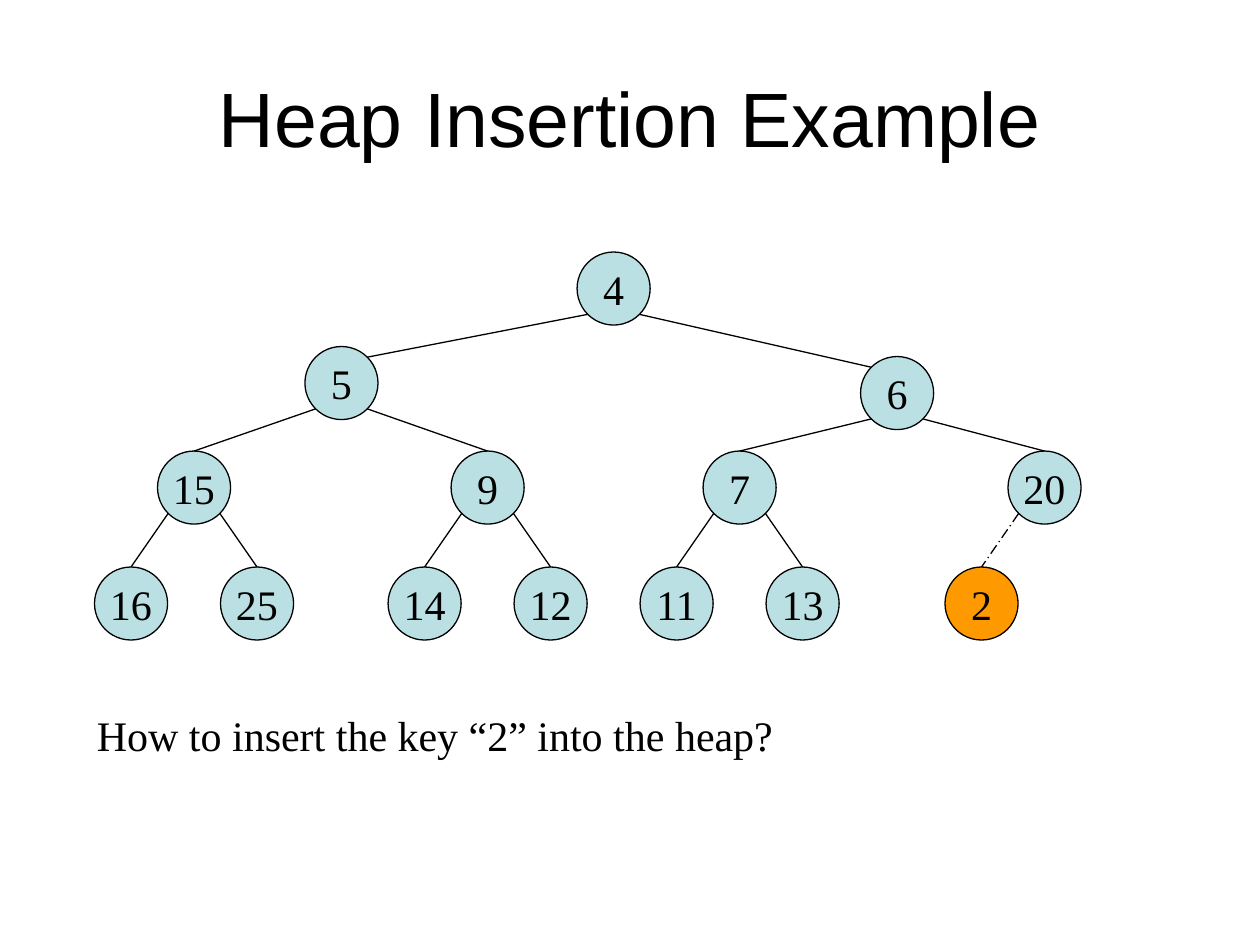
"""Build a slide showing a key being inserted into a binary heap."""
from dataclasses import dataclass
from math import sqrt

from lxml.etree import SubElement
from pptx import Presentation
from pptx.dml.color import RGBColor
from pptx.enum.dml import MSO_LINE
from pptx.enum.shapes import MSO_CONNECTOR, MSO_SHAPE
from pptx.enum.text import MSO_ANCHOR, MSO_AUTO_SIZE, PP_ALIGN
from pptx.oxml.ns import qn
from pptx.slide import Slide
from pptx.util import Inches, Pt

COLORS = {"ink": "000000", "key": "BBE0E3", "new_key": "FF9900"}
DIAMETER = 0.58
NEAR = DIAMETER * (1 - sqrt(0.5)) / 2
FAR = DIAMETER - NEAR
HEAP = [
    (4, 4.58, 2),
    (5, 2.42, 2.75), (6, 6.83, 2.83),
    (15, 1.25, 3.58), (9, 3.58, 3.58), (7, 5.58, 3.58), (20, 8, 3.58),
    (16, 0.75, 4.5), (25, 1.75, 4.5), (14, 3.08, 4.5), (12, 4.08, 4.5),
    (11, 5.08, 4.5), (13, 6.08, 4.5), (2, 7.5, 4.5),
]


def color(name):
    return RGBColor.from_string(COLORS[name])


@dataclass
class HeapSlide:
    slide: Slide
    title_font: str = "Arial"
    body_font: str = "Times New Roman"
    title_size: int = 44
    body_size: int = 24
    line_width: float = 0.75

    def set_text(self, frame, text, font, size, align):
        frame.text = text
        paragraph = frame.paragraphs[0]
        paragraph.alignment = align
        style = paragraph.runs[0].font
        style.name, style.size = font, Pt(size)
        style.color.rgb = color("ink")
        return paragraph

    def outline(self, line):
        line.color.rgb = color("ink")
        line.width = Pt(self.line_width)

    def title(self, text, left, top, width, height):
        heading = self.slide.shapes.title
        heading.left, heading.top = Inches(left), Inches(top)
        heading.width, heading.height = Inches(width), Inches(height)
        heading.text_frame.vertical_anchor = MSO_ANCHOR.MIDDLE
        self.set_text(heading.text_frame, text, self.title_font, self.title_size, PP_ALIGN.CENTER)

    def node(self, key, left, top, fill):
        circle = self.slide.shapes.add_shape(
            MSO_SHAPE.OVAL, Inches(left), Inches(top), Inches(DIAMETER), Inches(DIAMETER))
        circle.shadow.inherit = False
        circle.fill.solid()
        circle.fill.fore_color.rgb = color(fill)
        self.outline(circle.line)
        circle.text_frame.word_wrap = False
        circle.text_frame.vertical_anchor = MSO_ANCHOR.MIDDLE
        self.set_text(circle.text_frame, str(key), self.body_font, self.body_size, PP_ALIGN.CENTER)

    def edge(self, start, end, dash=None):
        link = self.slide.shapes.add_connector(
            MSO_CONNECTOR.STRAIGHT, *(Inches(value) for value in (*start, *end)))
        self.outline(link.line)
        if dash:
            link.line.dash_style = dash
        SubElement(link._element.spPr, qn("a:effectLst"))

    def question(self, text, left, top, width, height):
        box = self.slide.shapes.add_textbox(
            Inches(left), Inches(top), Inches(width), Inches(height))
        frame = box.text_frame
        frame.word_wrap = True
        frame.auto_size = MSO_AUTO_SIZE.SHAPE_TO_FIT_TEXT
        paragraph = self.set_text(frame, text, self.body_font, self.body_size, PP_ALIGN.LEFT)
        paragraph.space_before = Pt(15)

    def heap(self, nodes):
        newest = len(nodes) - 1
        for index, (key, left, top) in enumerate(nodes):
            self.node(key, left, top, "new_key" if index == newest else "key")
            if index == 0:
                continue
            parent = (index - 1) // 2
            is_left = index % 2 == 1
            _, parent_left, parent_top = nodes[parent]
            start = (parent_left + (NEAR if is_left else FAR), parent_top + FAR)
            if parent == 0:
                end = (left + (FAR if is_left else NEAR), top + NEAR)
            else:
                end = (left + DIAMETER / 2, top)
            self.edge(start, end, MSO_LINE.LONG_DASH_DOT if index == newest else None)


def main():
    deck = Presentation()
    deck.slide_width, deck.slide_height = Inches(10), Inches(7.5)
    page = HeapSlide(deck.slides.add_slide(deck.slide_layouts[5]))
    page.title("Heap Insertion Example", 0.5, 0.3, 9, 1.25)
    page.heap(HEAP)
    page.question("How to insert the key “2” into the heap?", 0.67, 5.58, 5.67, 0.5)
    deck.save("out.pptx")


if __name__ == "__main__":
    main()
